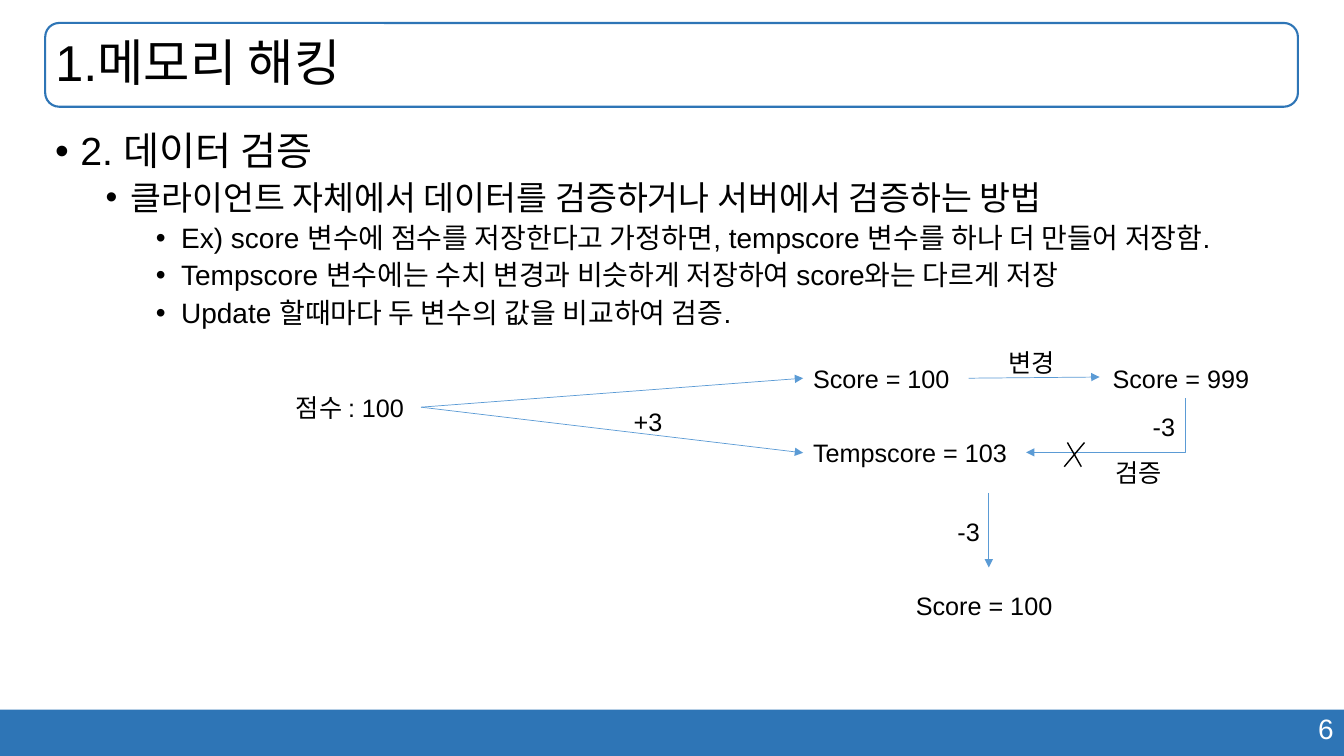
from dataclasses import dataclass

from lxml import etree
from pptx import Presentation
from pptx.dml.color import RGBColor
from pptx.enum.shapes import MSO_CONNECTOR, MSO_SHAPE
from pptx.enum.text import MSO_ANCHOR, MSO_AUTO_SIZE, PP_ALIGN
from pptx.oxml.ns import qn
from pptx.util import Cm, Pt

STRAIGHT, ELBOW = MSO_CONNECTOR.STRAIGHT, MSO_CONNECTOR.ELBOW
RECTANGLE, ROUNDED = MSO_SHAPE.RECTANGLE, MSO_SHAPE.ROUNDED_RECTANGLE
MIDDLE, LEFT, RIGHT = MSO_ANCHOR.MIDDLE, PP_ALIGN.LEFT, PP_ALIGN.RIGHT
FIT_SHAPE, NO_FIT = MSO_AUTO_SIZE.SHAPE_TO_FIT_TEXT, MSO_AUTO_SIZE.NONE
LEFT_SIDE, RIGHT_SIDE = 1, 3
TITLE_ONLY = 5


@dataclass(frozen=True)
class Theme:
    """Colours, font and type sizes of the slide."""
    font: str = "Arial"
    text: RGBColor = RGBColor(0x00, 0x00, 0x00)
    white: RGBColor = RGBColor(0xFF, 0xFF, 0xFF)
    frame: RGBColor = RGBColor(0x2E, 0x75, 0xB6)
    arrow: RGBColor = RGBColor(0x5B, 0x9B, 0xD5)
    title_size: int = 36
    level_sizes: tuple = (28, 24, 20)
    number_size: int = 20
    label_size: int = 18


THEME = Theme()

TITLE_BOX = (1.14, 0.58, 31.57, 2.11)
BODY = [
    (0, "2. 데이터 검증"),
    (1, "클라이언트 자체에서 데이터를 검증하거나 서버에서 검증하는 방법"),
    (2, "Ex) score 변수에 점수를 저장한다고 가정하면, tempscore 변수를 하나 더 만들어 저장함."),
    (2, "Tempscore 변수에는 수치 변경과 비슷하게 저장하여 score와는 다르게 저장"),
    (2, "Update 할때마다 두 변수의 값을 비교하여 검증."),
]
LABELS = [
    ("변경", 25.17, 8.64, 1.8),
    ("Score = 999", 27.79, 9.02, 4.17),
    ("검증", 27.86, 11.4, 1.8),
    ("+3", 15.72, 10.11, 1.24),
    ("-3", 28.8, 10.24, 1.09),
    ("Score = 100", 22.83, 14.76, 3.99),
    ("-3", 23.88, 12.88, 1.09),
]
CROSS = [(27.33, 11.15, 26.82, 11.76), (26.9, 11.15, 27.25, 11.76)]


def lengths(values):
    """Convert centimetre numbers to lengths."""
    return [Cm(value) for value in values]


def format_paragraph(paragraph, size, color=THEME.text):
    """Apply the theme font to every run."""
    for run in paragraph.runs:
        run.font.name = THEME.font
        run.font.size = Pt(size)
        run.font.color.rgb = color


def add_panel(slide, kind, box, fill=None):
    """Add a filled bar, or an outlined frame without a fill."""
    shape = slide.shapes.add_shape(kind, *lengths(box))
    shape.shadow.inherit = False
    if fill is None:
        shape.fill.background()
        shape.line.color.rgb = THEME.frame
        shape.line.width = Pt(1.5)
    else:
        shape.fill.solid()
        shape.fill.fore_color.rgb = fill
        shape.line.fill.background()


def add_label(slide, text, left, top, width):
    """Add an unwrapped one-line label."""
    shape = slide.shapes.add_textbox(*lengths((left, top, width, 1.02)))
    frame = shape.text_frame
    frame.word_wrap = False
    frame.auto_size = FIT_SHAPE
    frame.text = text
    format_paragraph(frame.paragraphs[0], THEME.label_size)
    return shape


def add_line(slide, points, color=THEME.arrow, width=0.5, arrow=True, kind=STRAIGHT):
    """Add a connector with an optional arrowhead."""
    connector = slide.shapes.add_connector(kind, *lengths(points))
    connector.line.color.rgb = color
    connector.line.width = Pt(width)
    if arrow:
        line = connector.line._get_or_add_ln()
        etree.SubElement(line, qn("a:tailEnd"), type="triangle")
    etree.SubElement(connector._element.spPr, qn("a:effectLst"))
    return connector


def add_corner_arrow(slide, start_x, start_y, end_x, end_y):
    """Add an arrow that goes down and then turns left."""
    connector = add_line(slide, (start_x, start_y, start_x, end_y), kind=ELBOW)
    run, drop = start_x - end_x, end_y - start_y
    connector.left = Cm((start_x + end_x - drop) / 2)
    connector.top = Cm((start_y + end_y - run) / 2)
    connector.width, connector.height = Cm(drop), Cm(run)
    properties = connector._element.spPr
    properties.find(qn("a:xfrm")).set("rot", "5400000")
    properties.find(qn("a:prstGeom")).set("prst", "bentConnector2")


def format_title(slide, text):
    """Place and format the title."""
    title = slide.shapes.title
    title.left, title.top, title.width, title.height = lengths(TITLE_BOX)
    frame = title.text_frame
    frame.text = text
    frame.word_wrap = True
    frame.auto_size = NO_FIT
    frame.vertical_anchor = MIDDLE
    paragraph = frame.paragraphs[0]
    paragraph.alignment = LEFT
    paragraph.line_spacing = 0.9
    format_paragraph(paragraph, THEME.title_size)


def add_body(slide):
    """Add the bulleted text."""
    frame = slide.shapes.add_textbox(*lengths((1.14, 3.2, 31.57, 14.05))).text_frame
    frame.word_wrap = True
    for index, (level, text) in enumerate(BODY):
        paragraph = frame.add_paragraph() if index else frame.paragraphs[0]
        paragraph.text = text
        paragraph.level = level
        paragraph.line_spacing = 0.9
        if index:
            paragraph.space_before = Pt(5)
        properties = paragraph._p.get_or_add_pPr()
        properties.set("marL", str(Cm(0.635 + 1.27 * level)))
        properties.set("indent", str(-Cm(0.635)))
        etree.SubElement(properties, qn("a:buFont"), typeface=THEME.font)
        etree.SubElement(properties, qn("a:buChar"), char="•")
        format_paragraph(paragraph, THEME.level_sizes[level])


def add_page_number(slide, number):
    """Add the page number on the bottom bar."""
    frame = slide.shapes.add_textbox(*lengths((23.95, 17.81, 9.91, 1.12))).text_frame
    frame.word_wrap = True
    frame.text = number
    frame.paragraphs[0].alignment = RIGHT
    format_paragraph(frame.paragraphs[0], THEME.number_size, THEME.white)


def add_diagram(slide):
    """Add the diagram of the score check."""
    source = add_label(slide, "점수 : 100", 7.21, 9.75, 3.4)
    score = add_label(slide, "Score = 100", 20.24, 9.02, 4.17)
    tempscore = add_label(slide, "Tempscore = 103", 20.24, 10.9, 5.61)
    for label in LABELS:
        add_label(slide, *label)
    for target in (score, tempscore):
        connector = add_line(slide, (10.61, 10.26, 20.24, 10.26))
        connector.begin_connect(source, RIGHT_SIDE)
        connector.end_connect(target, LEFT_SIDE)
    change = add_line(slide, (24.41, 9.53, 27.71, 9.5))
    change.begin_connect(score, RIGHT_SIDE)
    add_corner_arrow(slide, 29.87, 10.03, 25.86, 11.4)
    add_line(slide, (24.92, 12.42, 24.92, 14.3))
    for stroke in CROSS:
        add_line(slide, stroke, THEME.text, 1, arrow=False)


def main():
    """Build and save the slide."""
    presentation = Presentation()
    presentation.slide_width, presentation.slide_height = Cm(33.87), Cm(19.05)
    slide = presentation.slides.add_slide(presentation.slide_layouts[TITLE_ONLY])
    add_panel(slide, RECTANGLE, (0, 17.88, 33.87, 1.17), THEME.frame)
    add_page_number(slide, "6")
    add_panel(slide, ROUNDED, TITLE_BOX)
    format_title(slide, "1.메모리 해킹")
    add_body(slide)
    add_diagram(slide)
    presentation.save("out.pptx")


if __name__ == "__main__":
    main()
